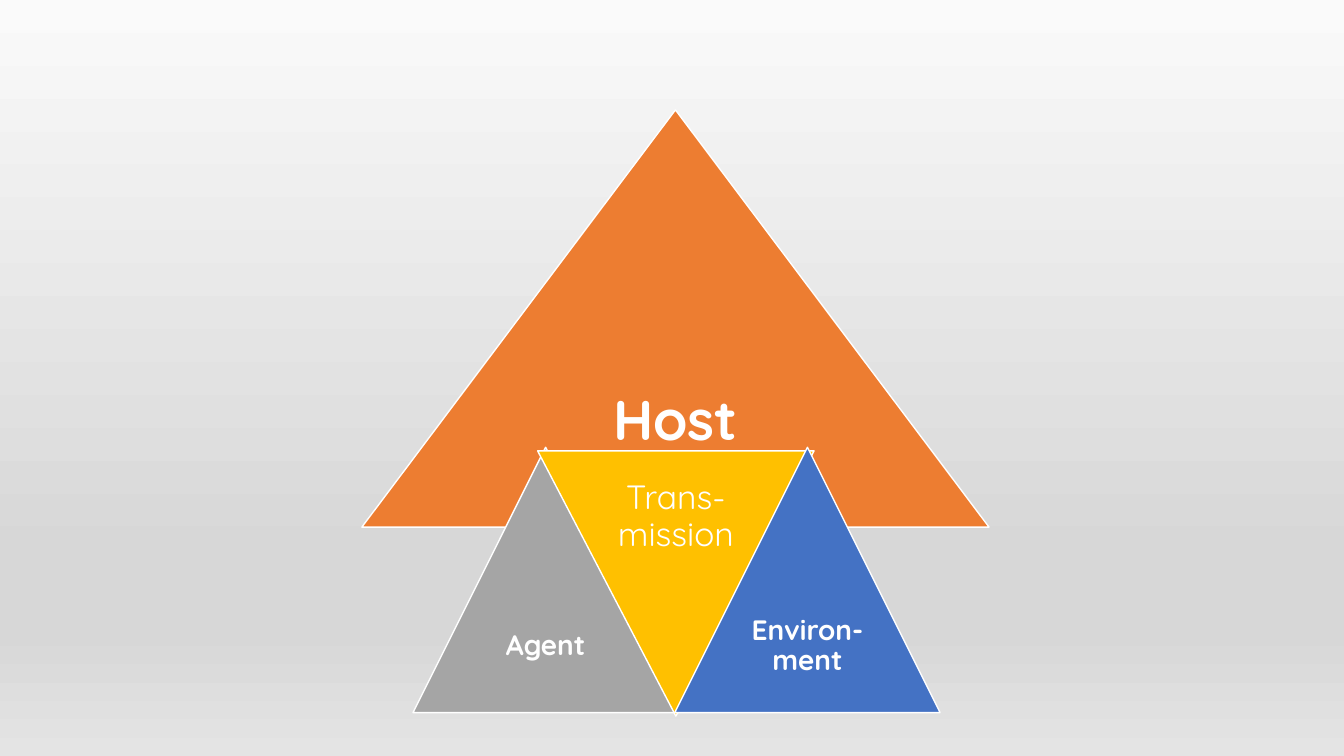
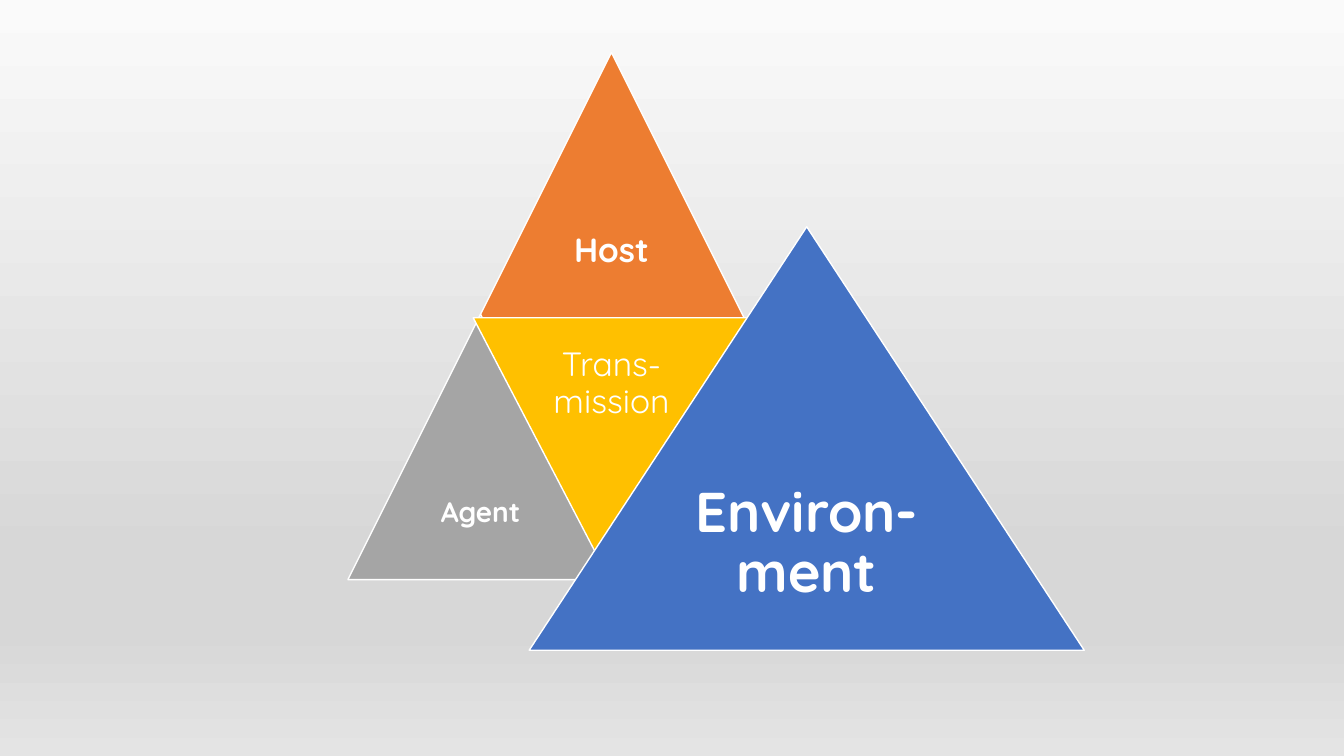
from dataclasses import dataclass

import pptx
import pptx.dml.color
import pptx.enum.shapes
import pptx.enum.text
import pptx.oxml.ns
import pptx.presentation
import pptx.slide
import pptx.util
from lxml import etree

EMU_PER_PX = 6350
SLIDE_WIDTH, SLIDE_HEIGHT = 1920, 1080
BLANK_LAYOUT = 6
FONT = "Quicksand"
WHITE = "FFFFFF"
ORANGE = "ED7D31"
GREY = "A5A5A5"
YELLOW = "FFC000"
BLUE = "4472C4"
BACKDROP_STOPS = ((0, "FAFAFA"), (74, "D7D7D7"), (83, "D7D7D7"), (100, "E4E4E4"))
BACKDROP_ID = 100
INSET_RATIO = 0.3
SPACE_AFTER_RATIO = 0.35
SIDE = 379


@dataclass(frozen=True)
class Triangle:
    label: str
    fill: str
    left: int
    top: int
    size: int
    width: int = SIDE
    height: int = SIDE
    bold: bool = True
    inverted: bool = False


def transmission(left: int, top: int) -> Triangle:
    return Triangle("Trans-mission", YELLOW, left, top, 24, width=395, bold=False, inverted=True)


SLIDES = (
    (
        Triangle("Host", ORANGE, 517, 157, 40, width=896, height=596),
        Triangle("Agent", GREY, 590, 639, 20),
        transmission(768, 644),
        Triangle("Environ-ment", BLUE, 964, 639, 20),
    ),
    (
        Triangle("Host", ORANGE, 684, 75, 24),
        Triangle("Agent", GREY, 497, 449, 20),
        transmission(676, 454),
        Triangle("Environ-ment", BLUE, 756, 324, 40, width=793, height=605),
    ),
)


def px(length: float) -> pptx.util.Emu:
    return pptx.util.Emu(round(length * EMU_PER_PX))


def color(value: str) -> pptx.dml.color.RGBColor:
    return pptx.dml.color.RGBColor.from_string(value)


def add_text(
    slide: pptx.slide.Slide,
    text: str,
    *,
    left: float,
    top: float,
    width: float,
    height: float,
    size: int,
    bold: bool = False,
    font_color: str = WHITE,
) -> None:
    shape = slide.shapes.add_textbox(px(left), px(top), px(width), px(height))
    frame = shape.text_frame
    frame.word_wrap = True
    frame.vertical_anchor = pptx.enum.text.MSO_ANCHOR.MIDDLE
    inset = pptx.util.Pt(size * INSET_RATIO)
    frame.margin_left = frame.margin_right = inset
    frame.margin_top = frame.margin_bottom = inset
    paragraph = frame.paragraphs[0]
    paragraph.text = text
    paragraph.alignment = pptx.enum.text.PP_ALIGN.CENTER
    paragraph.line_spacing = 0.9
    paragraph.space_after = pptx.util.Pt(size * SPACE_AFTER_RATIO)
    font = paragraph.runs[0].font
    font.name = FONT
    font.size = pptx.util.Pt(size)
    font.bold = bold
    font.color.rgb = color(font_color)


def add_triangle(slide: pptx.slide.Slide, triangle: Triangle) -> None:
    shape = slide.shapes.add_shape(
        pptx.enum.shapes.MSO_SHAPE.ISOSCELES_TRIANGLE,
        px(triangle.left),
        px(triangle.top),
        px(triangle.width),
        px(triangle.height),
    )
    shape.rotation = 180 if triangle.inverted else 0
    shape.shadow.inherit = False
    shape.fill.solid()
    shape.fill.fore_color.rgb = color(triangle.fill)
    shape.line.color.rgb = color(WHITE)
    shape.line.width = pptx.util.Pt(1)
    add_text(
        slide,
        triangle.label,
        left=triangle.left + triangle.width / 4,
        top=triangle.top + (0 if triangle.inverted else triangle.height / 2),
        width=triangle.width / 2,
        height=triangle.height / 2,
        size=triangle.size,
        bold=triangle.bold,
    )


def move_backdrop_to_master(
    presentation: pptx.presentation.Presentation, slide: pptx.slide.Slide
) -> None:
    shape = slide.shapes.add_shape(
        pptx.enum.shapes.MSO_SHAPE.RECTANGLE, 0, 0, px(SLIDE_WIDTH), px(SLIDE_HEIGHT)
    )
    shape.shadow.inherit = False
    shape.line.fill.background()
    shape.fill.gradient()
    shape.fill.gradient_angle = 270
    qn = pptx.oxml.ns.qn
    stops = next(shape.element.iter(qn("a:gsLst")))
    for stop in list(stops):
        stops.remove(stop)
    for position, value in BACKDROP_STOPS:
        stop = etree.SubElement(stops, qn("a:gs"), pos=str(position * 1000))
        etree.SubElement(stop, qn("a:srgbClr"), val=value)
    next(shape.element.iter(qn("p:cNvPr"))).set("id", str(BACKDROP_ID))
    shape_tree = next(presentation.slide_master.element.iter(qn("p:spTree")))
    shape_tree.insert(2, shape.element)


def main() -> None:
    presentation = pptx.Presentation()
    presentation.slide_width = px(SLIDE_WIDTH)
    presentation.slide_height = px(SLIDE_HEIGHT)
    for index, triangles in enumerate(SLIDES):
        slide = presentation.slides.add_slide(presentation.slide_layouts[BLANK_LAYOUT])
        if index == 0:
            move_backdrop_to_master(presentation, slide)
        for triangle in triangles:
            add_triangle(slide, triangle)
    presentation.save("out.pptx")


if __name__ == "__main__":
    main()
